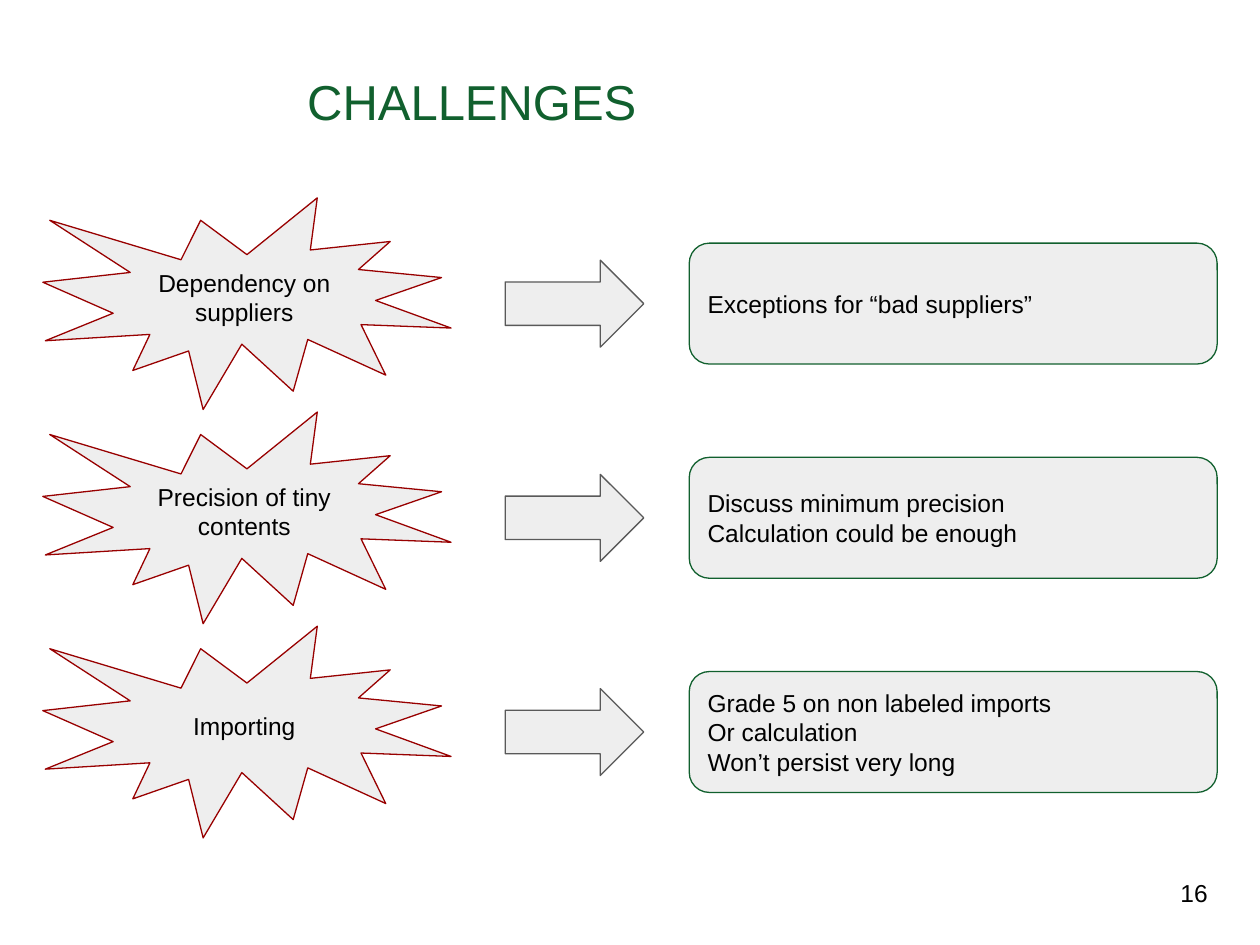
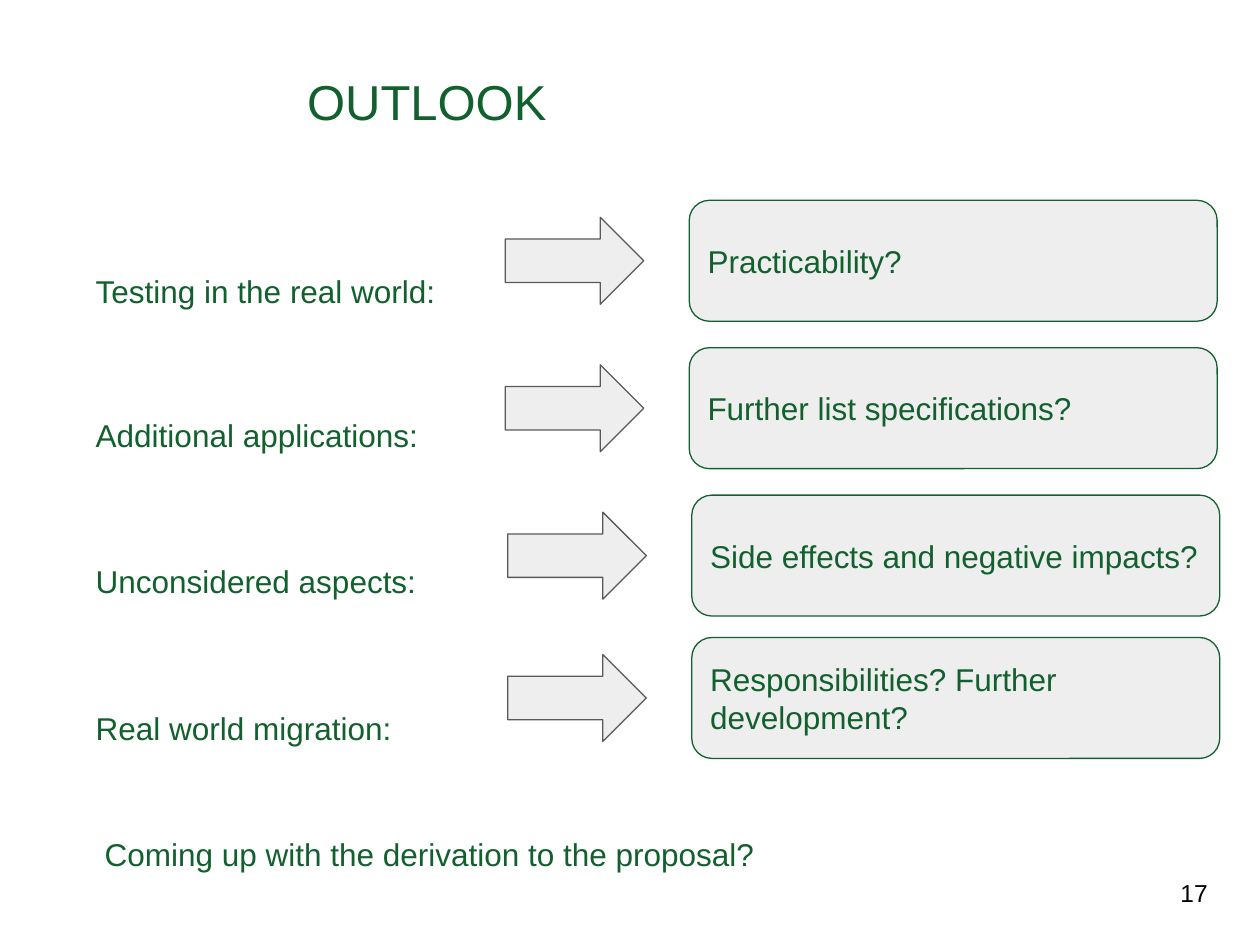
from dataclasses import dataclass
from pptx import Presentation
from pptx.dml.color import RGBColor
from pptx.enum.shapes import MSO_SHAPE as Shape
from pptx.enum.text import MSO_ANCHOR as Anchor, PP_ALIGN as Align
from pptx.util import Inches, Pt


@dataclass(frozen=True)
class Theme:
    font: str = "Arial"
    green: str = "11602E"
    red: str = "980000"
    gray: str = "595959"
    pale: str = "EEEEEE"
    black: str = "000000"
    title_size: int = 28
    large_size: int = 18
    small_size: int = 14
    line_width: float = 0.75
    inset: float = 0.1


THEME = Theme()
SEAL_LEFT, SEAL_SIZE = 0.34, (3.24, 1.68)
ARROW_LEFT, ARROW_SIZE = 4.01, (1.1, 0.69)
ANSWER_LEFT, ANSWER_SIZE = 5.47, (4.19, 0.96)
LABEL_LEFT, LABEL_HEIGHT, LABEL_INSET = 0.34, 0.69, 0.42

CHALLENGES = [
    ("Dependency on suppliers", ["Exceptions for “bad suppliers”"]),
    ("Precision of tiny contents",
     ["Discuss minimum precision", "Calculation could be enough"]),
    ("Importing",
     ["Grade 5 on non labeled imports", "Or calculation", "Won’t persist very long"]),
]
OUTLOOK = [
    ("Testing in the real world:", 1.76, "Practicability?", 2.07, 0),
    ("Additional applications:", 2.9, "Further list specifications?", 3.24, 0),
    ("Unconsidered aspects:", 4.06, "Side effects and negative impacts?", 4.41, 0.02),
    ("Real world migration:", 5.23, "Responsibilities? Further development?", 5.54, 0.02),
]


def write(item, lines, size, color, left_inset=THEME.inset, anchor=Anchor.MIDDLE,
          align=Align.LEFT, spacing=1.0):
    frame = item.text_frame
    frame_format = {
        "word_wrap": True,
        "vertical_anchor": anchor,
        "margin_left": Inches(left_inset),
        "margin_top": Inches(THEME.inset),
        "margin_right": Inches(THEME.inset),
        "margin_bottom": Inches(THEME.inset),
    }
    for name, value in frame_format.items():
        setattr(frame, name, value)
    for index, line in enumerate(lines):
        para = frame.add_paragraph() if index else frame.paragraphs[0]
        para.alignment = align
        para.line_spacing = spacing
        span = para.add_run()
        span.text = line
        for name, value in {"name": THEME.font, "size": Pt(size)}.items():
            setattr(span.font, name, value)
        span.font.color.rgb = RGBColor.from_string(color)


def add_text(page, text, place, size, color, **layout):
    box = page.shapes.add_textbox(*map(Inches, place))
    write(box, [text], size, color, **layout)


def add_outlined(page, kind, left, middle, size, line_color):
    width, height = size
    place = (left, middle - height / 2, width, height)
    item = page.shapes.add_shape(kind, *map(Inches, place))
    item.shadow.inherit = False
    item.fill.solid()
    item.fill.fore_color.rgb = RGBColor.from_string(THEME.pale)
    item.line.color.rgb = RGBColor.from_string(line_color)
    item.line.width = Pt(THEME.line_width)
    return item


def add_seal(page, text, middle):
    seal = add_outlined(page, Shape.EXPLOSION1, SEAL_LEFT, middle, SEAL_SIZE, THEME.red)
    write(seal, [text], THEME.small_size, THEME.black, align=Align.CENTER)


def add_answer(page, lines, middle, size, color, shift=0):
    add_outlined(page, Shape.RIGHT_ARROW, ARROW_LEFT + shift, middle, ARROW_SIZE, THEME.gray)
    box = add_outlined(page, Shape.FLOWCHART_ALTERNATE_PROCESS, ANSWER_LEFT + shift,
                       middle, ANSWER_SIZE, THEME.green)
    write(box, lines, size, color)


def add_label(page, text, top, width=3.67, left_inset=LABEL_INSET):
    add_text(page, text, (LABEL_LEFT, top, width, LABEL_HEIGHT), THEME.large_size,
             THEME.green, left_inset=left_inset, anchor=Anchor.TOP, spacing=2.0)


def add_page(deck, title, number):
    page = deck.slides.add_slide(deck.slide_layouts[6])
    add_text(page, title, (2.34, 0.47, 7.16, 0.64), THEME.title_size, THEME.green,
             anchor=Anchor.TOP)
    add_text(page, str(number), (9.27, 6.8, 0.6, 0.57), THEME.small_size, THEME.black)
    return page


def build_challenges(deck):
    page = add_page(deck, "CHALLENGES", 16)
    for row, (challenge, answers) in enumerate(CHALLENGES):
        middle = 2.41 + 1.7 * row
        add_seal(page, challenge, middle)
        add_answer(page, answers, middle, THEME.small_size, THEME.black)


def build_outlook(deck):
    page = add_page(deck, "OUTLOOK", 17)
    for topic, top, question, middle, shift in OUTLOOK:
        add_label(page, topic, top)
        add_answer(page, [question], middle, THEME.large_size, THEME.green, shift)
    add_label(page, "Coming up with the derivation to the proposal?", 6.23,
              width=9.23, left_inset=0.49)


def main():
    deck = Presentation()
    deck.slide_width, deck.slide_height = Inches(10), Inches(7.5)
    build_challenges(deck)
    build_outlook(deck)
    deck.save("out.pptx")


if __name__ == "__main__":
    main()
